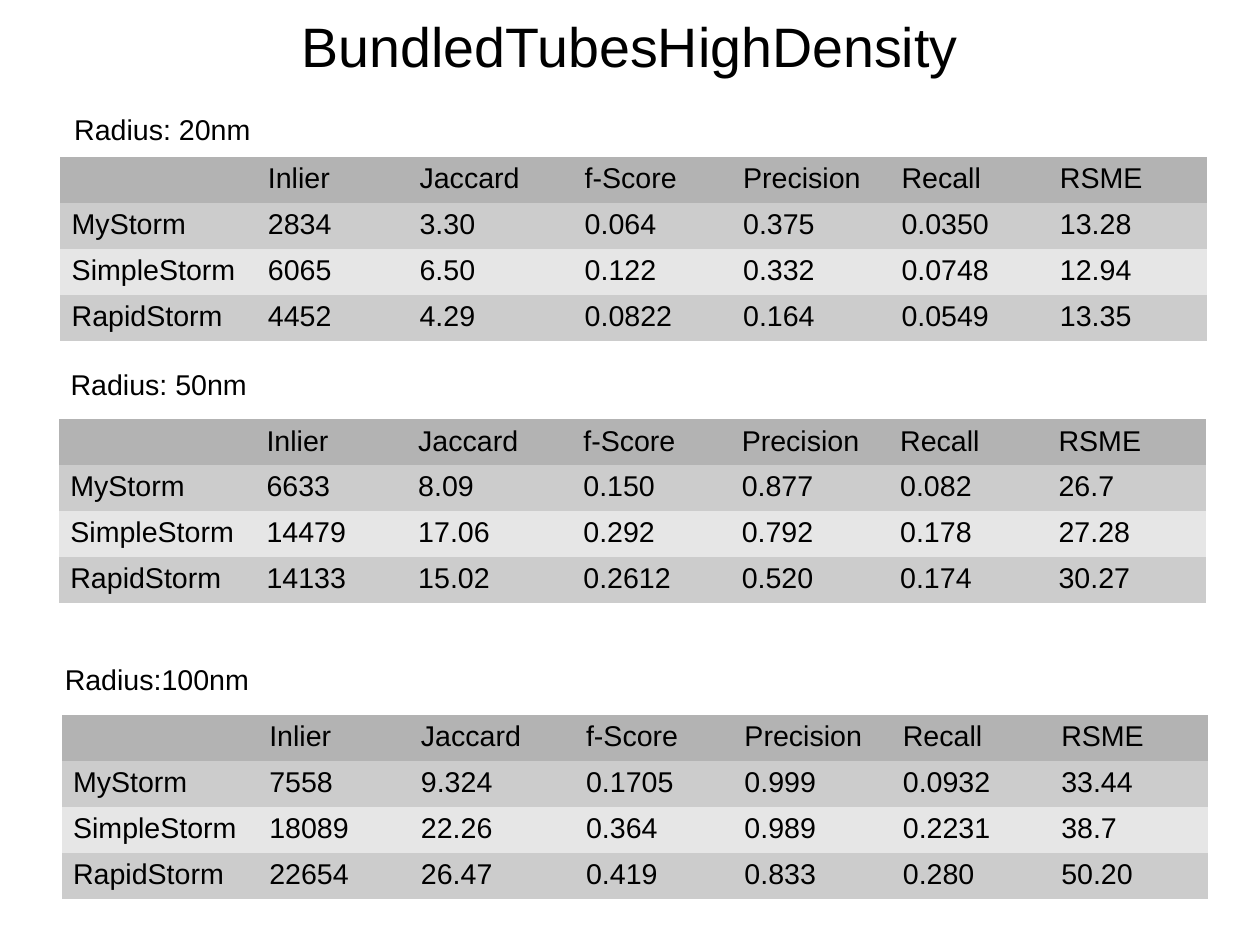
"""Build the BundledTubesHighDensity results slide with one table per radius."""
from pptx import Presentation
from pptx.dml.color import RGBColor
from pptx.enum.text import MSO_ANCHOR, PP_ALIGN
from pptx.oxml.ns import qn
from pptx.util import Cm, Pt

TITLE = "BundledTubesHighDensity"
METRICS = ("", "Inlier", "Jaccard", "f-Score", "Precision", "Recall", "RSME")
RESULTS = [
    {"radius": "Radius: 20nm", "radius_at": (1.4, 2.39), "scores_at": (1.34, 3.49), "scores": [
        ("MyStorm", "2834", "3.30", "0.064", "0.375", "0.0350", "13.28"),
        ("SimpleStorm", "6065", "6.50", "0.122", "0.332", "0.0748", "12.94"),
        ("RapidStorm", "4452", "4.29", "0.0822", "0.164", "0.0549", "13.35"),
    ]},
    {"radius": "Radius: 50nm", "radius_at": (1.32, 8.04), "scores_at": (1.31, 9.32), "scores": [
        ("MyStorm", "6633", "8.09", "0.150", "0.877", "0.082", "26.7"),
        ("SimpleStorm", "14479", "17.06", "0.292", "0.792", "0.178", "27.28"),
        ("RapidStorm", "14133", "15.02", "0.2612", "0.520", "0.174", "30.27"),
    ]},
    {"radius": "Radius:100nm", "radius_at": (1.19, 14.6), "scores_at": (1.37, 15.89), "scores": [
        ("MyStorm", "7558", "9.324", "0.1705", "0.999", "0.0932", "33.44"),
        ("SimpleStorm", "18089", "22.26", "0.364", "0.989", "0.2231", "38.7"),
        ("RapidStorm", "22654", "26.47", "0.419", "0.833", "0.280", "50.20"),
    ]},
]
METRIC_WIDTHS = (4.36, 3.37, 3.67, 3.52, 3.52, 3.52, 3.52)
ROW_HEIGHT = 1.02
ROW_FILLS = ("B3B3B3", "CCCCCC", "E6E6E6", "CCCCCC")
NO_GRID_STYLE = "{2D5ABB26-0587-4C30-8999-92F81FD0307C}"


def color(hex_code):
    return RGBColor.from_string(hex_code)


def write(frame, text, size=18, align=PP_ALIGN.LEFT, ink="000000"):
    paragraph = frame.paragraphs[0]
    paragraph.alignment = align
    run = paragraph.add_run()
    run.text = text
    run.font.name = "Arial"
    run.font.size = Pt(size)
    run.font.color.rgb = color(ink)


def add_label(slide, text, left, top, width, height, inset=(0.25, 0.13), **text_format):
    frame = slide.shapes.add_textbox(Cm(left), Cm(top), Cm(width), Cm(height)).text_frame
    frame.word_wrap = True
    frame.margin_left = frame.margin_right = Cm(inset[0])
    frame.margin_top = frame.margin_bottom = Cm(inset[1])
    frame.vertical_anchor = MSO_ANCHOR.MIDDLE
    write(frame, text, **text_format)


def add_scores(slide, scores, left, top):
    rows = [METRICS, *scores]
    holder = slide.shapes.add_table(len(rows), len(METRICS), Cm(left), Cm(top),
                                    Cm(sum(METRIC_WIDTHS)), Cm(ROW_HEIGHT * len(rows)))
    for style in holder.element.iter(qn("a:tableStyleId")):
        style.text = NO_GRID_STYLE
    grid = holder.table
    for column, width in zip(grid.columns, METRIC_WIDTHS):
        column.width = Cm(width)
    for row, values, fill in zip(grid.rows, rows, ROW_FILLS):
        row.height = Cm(ROW_HEIGHT)
        for cell, value in zip(row.cells, values):
            cell.fill.solid()
            cell.fill.fore_color.rgb = color(fill)
            if value:
                write(cell.text_frame, value)


def main():
    deck = Presentation()
    deck.slide_width, deck.slide_height = Cm(28), Cm(21)
    slide = deck.slides.add_slide(deck.slide_layouts[6])
    add_label(slide, TITLE, 1.4, 0.2, 25.2, 1.6, inset=(0, 0), size=35, align=PP_ALIGN.CENTER)
    for result in RESULTS:
        add_scores(slide, result["scores"], *result["scores_at"])
        add_label(slide, result["radius"], *result["radius_at"], 6, 0.97)
    deck.save("out.pptx")


if __name__ == "__main__":
    main()
